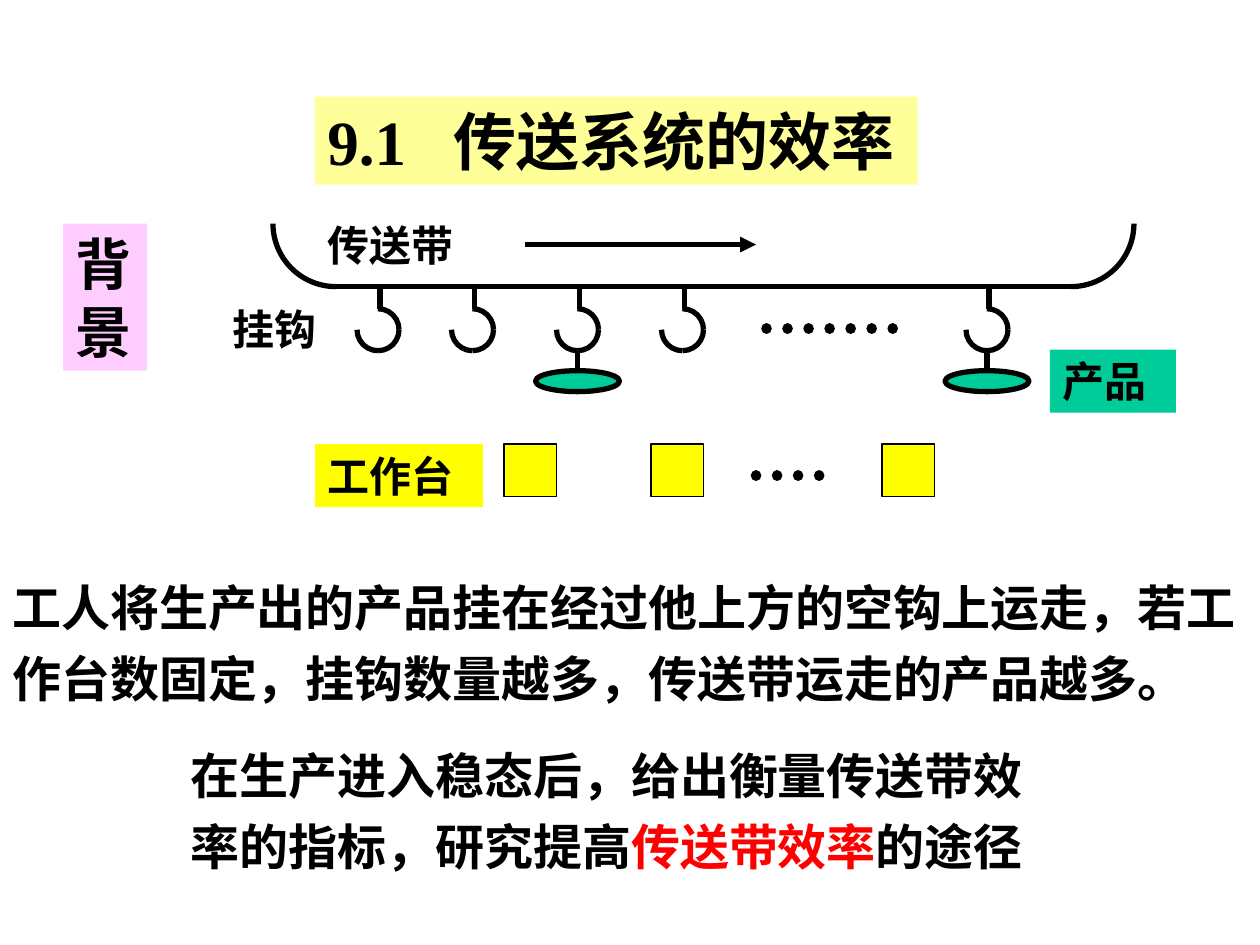
from dataclasses import dataclass
from typing import Any, Optional

from lxml.etree import SubElement
from pptx import Presentation
from pptx.dml.color import RGBColor
from pptx.enum.dml import MSO_LINE
from pptx.enum.shapes import MSO_CONNECTOR, MSO_SHAPE
from pptx.enum.text import MSO_AUTO_SIZE
from pptx.oxml.ns import qn
from pptx.util import Pt

EMU_PER_PX = 7620
COLORS = {
    "ink": "000000",
    "accent": "FF0000",
    "product": "00CC99",
    "station": "FFFF00",
    "background": "FFCCFF",
    "title": "FFFF99",
}
FONT = {"name": "Times New Roman", "bold": True}
FRAME = {"word_wrap": True, "auto_size": MSO_AUTO_SIZE.SHAPE_TO_FIT_TEXT}

BELT_Y = 273
BEND_RADIUS = 60
BELT_LEFT, BELT_RIGHT = 320, 1020
HOOK_TOP, HOOK_RADIUS = 294, 20
HOOK_BOTTOM = HOOK_TOP + 2 * HOOK_RADIUS
STEM_OFFSET = 2
PRODUCT_TOP, PRODUCT_WIDTH, PRODUCT_HEIGHT = 353, 80, 20
STATION_TOP, STATION_SIZE = 423, 50
STATION_LEFTS = (480, 620, 840)
TITLE_TAB = 120


@dataclass(frozen=True)
class Hook:
    center: int
    loaded: bool = False


@dataclass(frozen=True)
class Label:
    box: tuple[int, int, int, int]
    size: int
    runs: tuple[tuple[str, str], ...]
    fill: Optional[str] = None
    line_spacing: Optional[float] = None
    tab: Optional[int] = None


HOOKS = (Hook(360), Hook(450), Hook(550, True), Hook(650), Hook(940, True))
LABELS = (
    Label((300, 203, 160, 60), 24, (("传送带", "ink"),)),
    Label((210, 283, 110, 60), 24, (("挂钩", "ink"),)),
    Label((1000, 333, 120, 60), 24, (("产品", "ink"),), "product"),
    Label((300, 423, 160, 60), 24, (("工作台", "ink"),), "station"),
    Label(
        (0, 533, 1200, 146),
        28,
        (("工人将生产出的产品挂在经过他上方的空钩上运走，若工作台数固定，挂钩数量越多，传送带运走的产品越多。", "ink"),),
        line_spacing=1.2,
    ),
    Label((60, 213, 80, 140), 32, (("背景", "ink"),), "background"),
    Label(
        (170, 693, 840, 146),
        28,
        (
            ("在生产进入稳态后，给出衡量传送带效率的指标，研究提高", "ink"),
            ("传送带效率", "accent"),
            ("的途径", "ink"),
        ),
        line_spacing=1.2,
    ),
    Label((300, 92, 574, 84), 36, (("9.1\t传送系统的效率", "ink"),), "title", tab=TITLE_TAB),
)


def px(*lengths: int) -> list[int]:
    return [length * EMU_PER_PX for length in lengths]


def color(name: str) -> RGBColor:
    return RGBColor.from_string(COLORS[name])


def apply(target: Any, values: dict[str, Any]) -> None:
    for name, value in values.items():
        setattr(target, name, value)


def set_line(line: Any, width: float) -> None:
    line.color.rgb = color("ink")
    line.width = Pt(width)


def draw_shape(slide: Any, kind: Any, box: tuple[int, ...], width: float, fill: Optional[str] = None) -> Any:
    shape = slide.shapes.add_shape(kind, *px(*box))
    shape.shadow.inherit = False
    if fill:
        shape.fill.solid()
        shape.fill.fore_color.rgb = color(fill)
    else:
        shape.fill.background()
    set_line(shape.line, width)
    return shape


def draw_quarter(slide: Any, center_x: int, center_y: int, radius: int, start: int) -> None:
    box = (center_x - radius, center_y - radius, 2 * radius, 2 * radius)
    arc = draw_shape(slide, MSO_SHAPE.ARC, box, 3)
    for index, angle in enumerate((start, (start + 90) % 360)):
        arc.adjustments[index] = angle * 0.6


def draw_line(
    slide: Any, ends: tuple[int, int, int, int], width: float = 3, dotted: bool = False, arrow: bool = False
) -> Any:
    connector = slide.shapes.add_connector(MSO_CONNECTOR.STRAIGHT, *px(*ends))
    set_line(connector.line, width)
    properties = connector._element.spPr
    outline = properties.find(qn("a:ln"))
    if dotted:
        connector.line.dash_style = MSO_LINE.ROUND_DOT
        outline.set("cap", "rnd")
    if arrow:
        SubElement(outline, qn("a:tailEnd"), type="triangle")
    SubElement(properties, qn("a:effectLst"))
    return connector


def draw_hook(slide: Any, hook: Hook) -> None:
    for start in (270, 0, 90):
        draw_quarter(slide, hook.center, HOOK_TOP + HOOK_RADIUS, HOOK_RADIUS, start)
    stem = hook.center + STEM_OFFSET
    draw_line(slide, (stem, HOOK_TOP, stem, BELT_Y))
    if hook.loaded:
        box = (hook.center - PRODUCT_WIDTH // 2, PRODUCT_TOP, PRODUCT_WIDTH, PRODUCT_HEIGHT)
        product = draw_shape(slide, MSO_SHAPE.OVAL, box, 3, "product")
        hanger = draw_line(slide, (hook.center, HOOK_BOTTOM, hook.center, PRODUCT_TOP))
        hanger.end_connect(product, 0)


def draw_belt(slide: Any) -> None:
    draw_line(slide, (BELT_LEFT, BELT_Y, BELT_RIGHT, BELT_Y))
    for center_x, start in ((BELT_RIGHT, 0), (BELT_LEFT, 90)):
        draw_quarter(slide, center_x, BELT_Y - BEND_RADIUS, BEND_RADIUS, start)
    draw_line(slide, (500, 233, 720, 233), arrow=True)


def draw_label(slide: Any, label: Label) -> None:
    box = slide.shapes.add_textbox(*px(*label.box))
    if label.fill:
        box.fill.solid()
        box.fill.fore_color.rgb = color(label.fill)
    apply(box.text_frame, FRAME)
    paragraph = box.text_frame.paragraphs[0]
    if label.line_spacing:
        paragraph.line_spacing = label.line_spacing
    if label.tab:
        tabs = SubElement(paragraph._p.get_or_add_pPr(), qn("a:tabLst"))
        SubElement(tabs, qn("a:tab"), pos=str(px(label.tab)[0]), algn="l")
    for text, color_name in label.runs:
        run = paragraph.add_run()
        run.text = text
        apply(run.font, {**FONT, "size": Pt(label.size)})
        run.font.color.rgb = color(color_name)


def main() -> None:
    presentation = Presentation()
    presentation.slide_width, presentation.slide_height = px(1200, 900)
    slide = presentation.slides.add_slide(presentation.slide_layouts[6])
    for hook in HOOKS:
        draw_hook(slide, hook)
    draw_belt(slide)
    for left in STATION_LEFTS:
        box = (left, STATION_TOP, STATION_SIZE, STATION_SIZE)
        draw_shape(slide, MSO_SHAPE.RECTANGLE, box, 0.75, "station")
    for ends in ((730, 313, 860, 313), (720, 453, 790, 453)):
        draw_line(slide, ends, 6, dotted=True)
    for label in LABELS:
        draw_label(slide, label)
    presentation.save("out.pptx")


if __name__ == "__main__":
    main()
